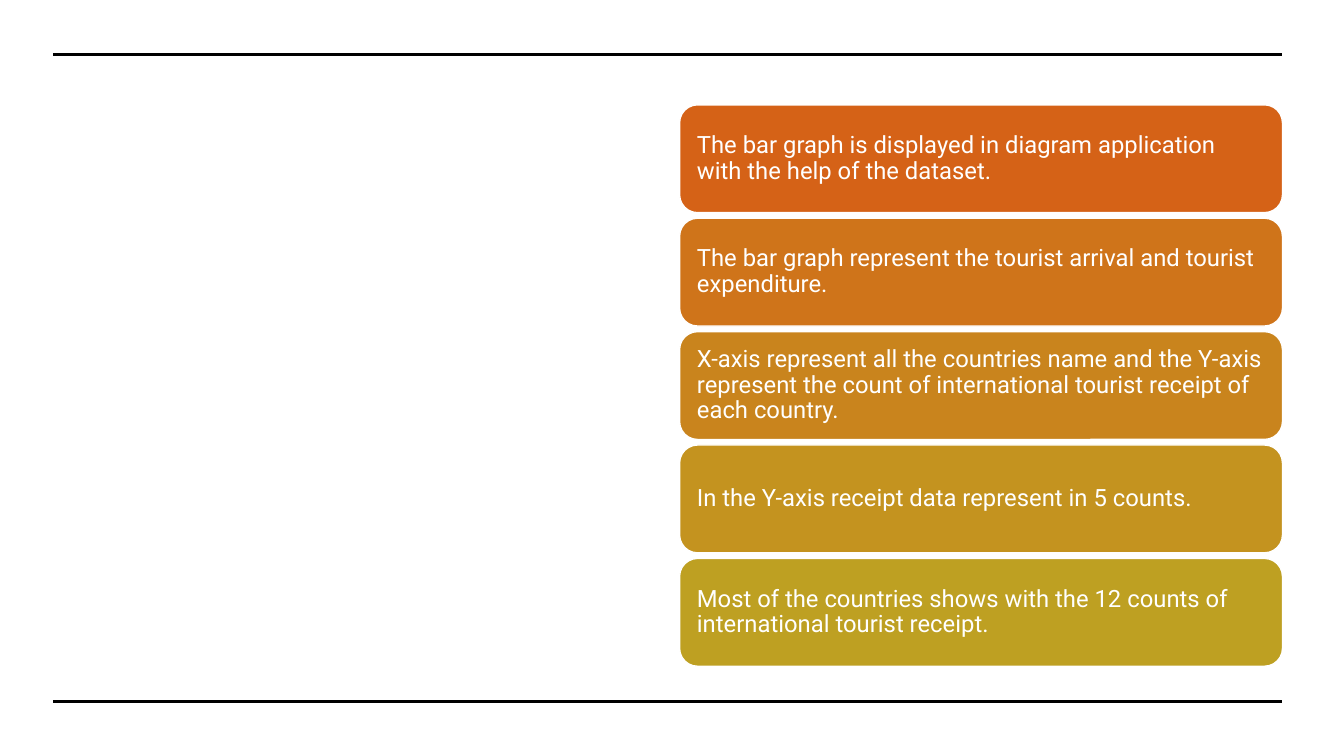
from dataclasses import dataclass

from lxml.etree import SubElement
from pptx import Presentation
from pptx.dml.color import RGBColor
from pptx.enum.shapes import MSO_CONNECTOR, MSO_SHAPE
from pptx.enum.text import MSO_ANCHOR, PP_ALIGN
from pptx.oxml.ns import qn
from pptx.util import Inches, Pt


@dataclass(frozen=True)
class Theme:
    font: str = "Roboto"
    text_size: float = 17
    text: str = "FFFFFF"
    rule: str = "000000"
    rule_width: float = 2.25
    card_line: str = "FFFFFF"
    card_line_width: float = 1
    card_fills: tuple = ("D56217", "CF741A", "C9841D", "C4931F", "BEA022")


THEME = Theme()

# Layout in inches
LEFT, RIGHT = 0.53, 12.72
RULE_TOPS = (0.54, 6.96)
CARD_LEFT, CARD_WIDTH, CARD_HEIGHT = 6.74, 5.98, 1.07
FIRST_CARD_TOP, LAST_CARD_TOP = 1.04, 5.54
CARD_INSET = 0.12

FINDINGS = (
    "The bar graph is displayed in diagram application with the help of the dataset.",
    "The bar graph represent the tourist arrival and tourist expenditure.",
    "X-axis represent all the countries name and the Y-axis represent the count of "
    "international tourist receipt of each country.",
    "In the Y-axis receipt data represent in 5 counts.",
    "Most of the countries shows with the 12 counts of international tourist receipt.",
)


def add_rule(s, top):
    line = s.shapes.add_connector(
        MSO_CONNECTOR.STRAIGHT, Inches(LEFT), Inches(top), Inches(RIGHT), Inches(top))
    line.line.color.rgb = RGBColor.from_string(THEME.rule)
    line.line.width = Pt(THEME.rule_width)
    SubElement(line._element.spPr, qn("a:effectLst"))


def add_card(s, top, fill, text):
    sp = s.shapes.add_shape(
        MSO_SHAPE.ROUNDED_RECTANGLE, Inches(CARD_LEFT), Inches(top),
        Inches(CARD_WIDTH), Inches(CARD_HEIGHT))
    sp.shadow.inherit = False
    sp.fill.solid()
    sp.fill.fore_color.rgb = RGBColor.from_string(fill)
    sp.line.color.rgb = RGBColor.from_string(THEME.card_line)
    sp.line.width = Pt(THEME.card_line_width)

    tf = sp.text_frame
    tf.word_wrap = True
    tf.vertical_anchor = MSO_ANCHOR.MIDDLE
    tf.margin_left = tf.margin_right = Inches(CARD_INSET)
    tf.margin_top = tf.margin_bottom = Inches(CARD_INSET)
    p = tf.paragraphs[0]
    p.alignment = PP_ALIGN.LEFT
    p.line_spacing = 0.9
    r = p.add_run()
    r.text = text
    r.font.name = THEME.font
    r.font.size = Pt(THEME.text_size)
    r.font.color.rgb = RGBColor.from_string(THEME.text)


def main():
    prs = Presentation()
    prs.slide_width, prs.slide_height = Inches(13.33), Inches(7.5)
    s = prs.slides.add_slide(prs.slide_layouts[6])

    # Rules at the top and bottom
    for top in RULE_TOPS:
        add_rule(s, top)

    # Evenly spaced cards
    pitch = (LAST_CARD_TOP - FIRST_CARD_TOP) / (len(FINDINGS) - 1)
    for i, (fill, text) in enumerate(zip(THEME.card_fills, FINDINGS)):
        add_card(s, FIRST_CARD_TOP + i * pitch, fill, text)

    prs.save("out.pptx")


if __name__ == "__main__":
    main()
